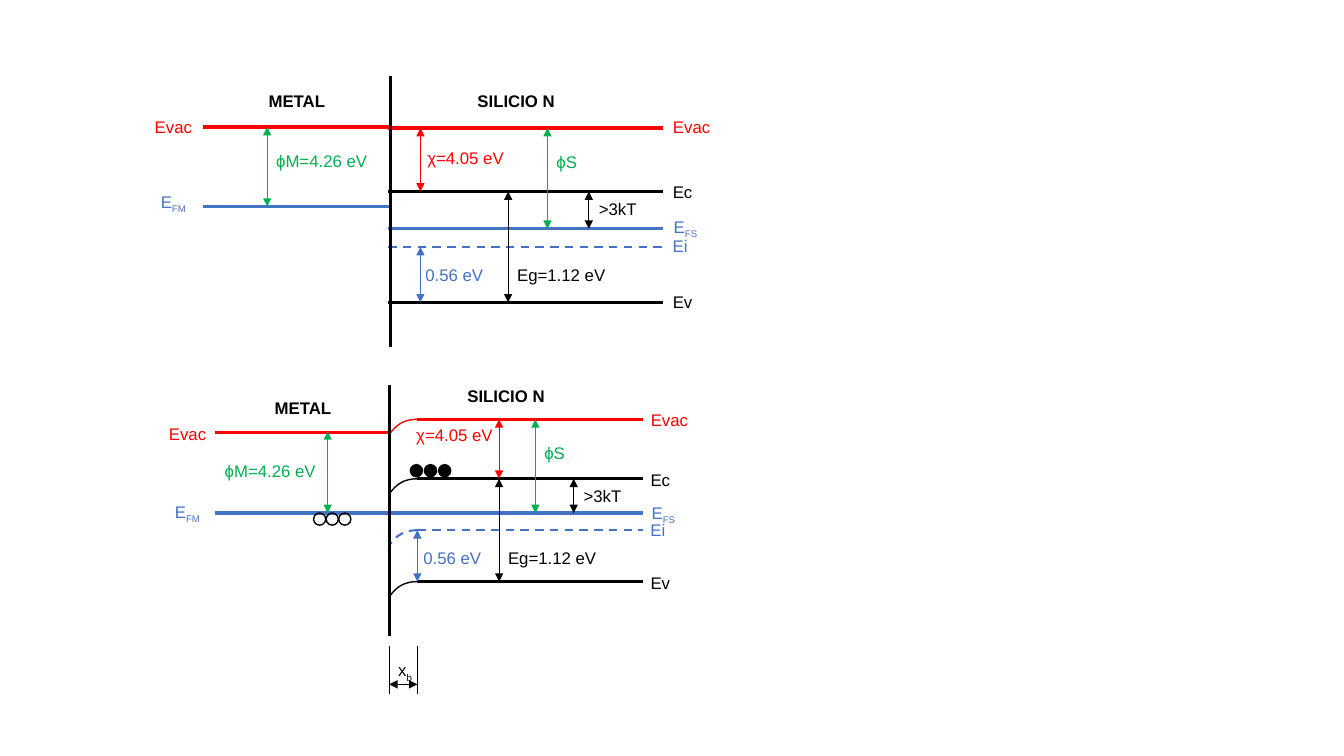
import pptx
import pptx.util
import pptx.dml.color
import pptx.enum.dml
import pptx.enum.shapes
import pptx.enum.text
import lxml.etree

Inches, Pt = pptx.util.Inches, pptx.util.Pt
SHAPE = pptx.enum.shapes
ALIGN = pptx.enum.text.PP_ALIGN

THEME = {
    "font": "Arial", "size": 12,
    "red": "FF0000", "blue": "4472C4", "green": "00B050", "black": "000000",
    "thick": 2.25, "dash": 1.5, "bend": 1, "thin": 0.5,
}

# Box width of each label; a "_" sets off the subscript.
WIDTH = {
    "Evac": 0.58, "Ec": 0.4, "E_FS": 0.46, "Ei": 0.35, "Ev": 0.4, "E_FM": 0.48,
    "METAL": 0.77, "SILICIO N": 0.98, "χ=4.05 eV": 0.97, ">3kT": 0.58,
    "0.56 eV": 0.78, "Eg=1.12 eV": 1.08, "ϕS": 0.41, "ϕM=4.26 eV": 1.11, "x_b": 0.35,
}
BOX = 0.3
INK = {"Evac": "red", "Ec": "black", "E_FS": "blue", "Ei": "blue", "Ev": "black",
       "E_FM": "blue"}

# levels: name, start x, line y, label y
# spans: ink, x, upper level y, lower level y, label, label x, label y
BANDS = [
    {
        "wall": (3.87, 0.75, 3.44),
        "metal": {"start": 2.01, "end": 3.88,
                  "levels": [("Evac", 1.26, 1.43, 1.11), ("E_FM", 2.05, 1.48, 1.85)]},
        "silicon": {"end": 6.58, "label": 6.57,
                    "levels": [("Evac", 3.85, 1.27, 1.11), ("Ec", 3.85, 1.9, 1.75),
                               ("Ei", 3.85, 2.45, 2.29), ("Ev", 3.85, 3, 2.85),
                               ("E_FS", 3.85, 2.27, 2.1)]},
        "heads": [("METAL", 2.56, 0.85), ("SILICIO N", 4.63, 0.85)],
        "spans": [
            ("green", 2.65, 1.26, 2.05, "ϕM=4.26 eV", 2.64, 1.45),
            ("red", 4.17, 1.27, 1.9, "χ=4.05 eV", 4.14, 1.42),
            ("black", 5.84, 1.9, 2.27, ">3kT", 5.84, 1.92),
            ("blue", 4.17, 2.45, 3, "0.56 eV", 4.12, 2.58),
            ("black", 5.04, 1.9, 3, "Eg=1.12 eV", 5.03, 2.58),
            ("green", 5.43, 1.27, 2.27, "ϕS", 5.42, 1.46),
        ],
    },
    {
        "wall": (3.86, 3.82, 6.31),
        "metal": {"start": 2.13, "end": 3.87,
                  "levels": [("Evac", 4.29, 1.57, 4.15), ("E_FM", 5.09, 1.62, 4.93)]},
        "silicon": {"end": 6.38, "label": 6.35,
                    "levels": [("Evac", 4.14, 4.16, 4.02), ("Ec", 4.14, 4.75, 4.61),
                               ("Ei", 4.14, 5.26, 5.11), ("Ev", 4.14, 5.77, 5.63),
                               ("E_FS", 3.86, 5.09, 4.94)]},
        "heads": [("METAL", 2.62, 3.9), ("SILICIO N", 4.53, 3.78)],
        "spans": [
            ("green", 3.25, 4.28, 5.09, "ϕM=4.26 eV", 2.13, 4.52),
            ("red", 4.95, 4.16, 4.75, "χ=4.05 eV", 4.03, 4.16),
            ("black", 5.69, 4.75, 5.09, ">3kT", 5.69, 4.77),
            ("blue", 4.14, 5.26, 5.77, "0.56 eV", 4.1, 5.38),
            ("black", 4.95, 4.75, 5.77, "Eg=1.12 eV", 4.94, 5.38),
            ("green", 5.31, 4.16, 5.09, "ϕS", 5.3, 4.34),
        ],
    },
]
BENT = ("Evac", "Ec", "Ei", "Ev")
EDGE, FLAT = 3.86, 4.14                       # sides of the bent zone
BEND = [(0, 0), (-0.17, 0), (-0.23, 0.09), (-0.28, 0.15)]
STEPS = 12
DOT = 0.12
# first x, y, pitch, filled
CHARGES = [(3.11, 5.09, 0.125, False), (4.07, 4.61, 0.14, True)]

deck = pptx.Presentation()
deck.slide_width, deck.slide_height = Inches(13.33), Inches(7.5)
slide = deck.slides.add_slide(deck.slide_layouts[6])
shapes = slide.shapes


def color(ink):
    return pptx.dml.color.RGBColor.from_string(THEME[ink])


def stroke(line, ink, kind):
    line.color.rgb = color(ink)
    line.width = Pt(THEME[kind])
    if kind == "dash":
        line.dash_style = pptx.enum.dml.MSO_LINE.DASH


def rule(x1, y1, x2, y2, ink, kind, arrows=False):
    line = shapes.add_connector(SHAPE.MSO_CONNECTOR.STRAIGHT, Inches(x1), Inches(y1),
                                Inches(x2), Inches(y2))
    stroke(line.line, ink, kind)
    qn = pptx.oxml.ns.qn
    if arrows:
        for end in ("a:headEnd", "a:tailEnd"):
            lxml.etree.SubElement(line.line._get_or_add_ln(), qn(end), type="triangle")
    lxml.etree.SubElement(line._element.spPr, qn("a:effectLst"))


def label(text, x, y, ink, align=ALIGN.LEFT, bold=False):
    box = shapes.add_textbox(Inches(x), Inches(y), Inches(WIDTH[text]), Inches(BOX))
    frame = box.text_frame
    frame.word_wrap = False
    frame.auto_size = pptx.enum.text.MSO_AUTO_SIZE.SHAPE_TO_FIT_TEXT
    para = frame.paragraphs[0]
    para.alignment = align
    for i, part in enumerate(text.split("_")):
        run = para.add_run()
        run.text = part
        font = run.font
        font.name, font.size, font.bold = THEME["font"], Pt(THEME["size"]), bold
        font.color.rgb = color(ink)
        if i:
            font._element.set("baseline", "-25000")


def bend(y, ink, kind):
    """Draw a cubic curve from the flat level down to the metal edge."""
    spots = []
    for i in range(STEPS + 1):
        t = i / STEPS
        mix = ((1 - t) ** 3, 3 * t * (1 - t) ** 2, 3 * t * t * (1 - t), t ** 3)
        dx = sum(m * p[0] for m, p in zip(mix, BEND))
        dy = sum(m * p[1] for m, p in zip(mix, BEND))
        spots.append((Inches(FLAT + dx), Inches(y + dy)))
    path = shapes.build_freeform(*spots[0])
    path.add_line_segments(spots[1:], close=False)
    curve = path.convert_to_shape()
    curve.shadow.inherit = False
    curve.fill.background()
    stroke(curve.line, ink, kind)


def charge(x, y, filled):
    dot = shapes.add_shape(SHAPE.MSO_SHAPE.OVAL, Inches(x), Inches(y),
                           Inches(DOT), Inches(DOT))
    dot.shadow.inherit = False
    if filled:
        dot.fill.solid()
        dot.fill.fore_color.rgb = color("black")
    else:
        dot.fill.background()
    stroke(dot.line, "black", "bend")


def draw(band):
    metal, silicon = band["metal"], band["silicon"]
    for name, start, y, top in silicon["levels"]:
        ink, kind = INK[name], "dash" if name == "Ei" else "thick"
        rule(start, y, silicon["end"], y, ink, kind)
        label(name, silicon["label"], top, ink, ALIGN.CENTER)
        if start == FLAT and name in BENT:
            bend(y, ink, "dash" if name == "Ei" else "bend")
    for name, y, left, top in metal["levels"]:
        rule(metal["start"], y, metal["end"], y, INK[name], "thick")
        label(name, left, top, INK[name], ALIGN.CENTER)
    x, top, base = band["wall"]
    rule(x, top, x, base, "black", "thick")
    for ink, x, top, base, text, left, y in band["spans"]:
        rule(x, top, x, base, ink, "thin", arrows=True)
        label(text, left, y, ink)
    for text, x, y in band["heads"]:
        label(text, x, y, "black", ALIGN.CENTER, bold=True)


for band in BANDS:
    draw(band)
for x in (EDGE, FLAT):
    rule(x, 6.41, x, 6.89, "black", "thin")
rule(EDGE, 6.79, FLAT, 6.79, "black", "thin", arrows=True)
label("x_b", 3.85, 6.5, "black")
for x, y, pitch, filled in CHARGES:
    for i in range(3):
        charge(x + i * pitch, y, filled)

deck.save("out.pptx")
